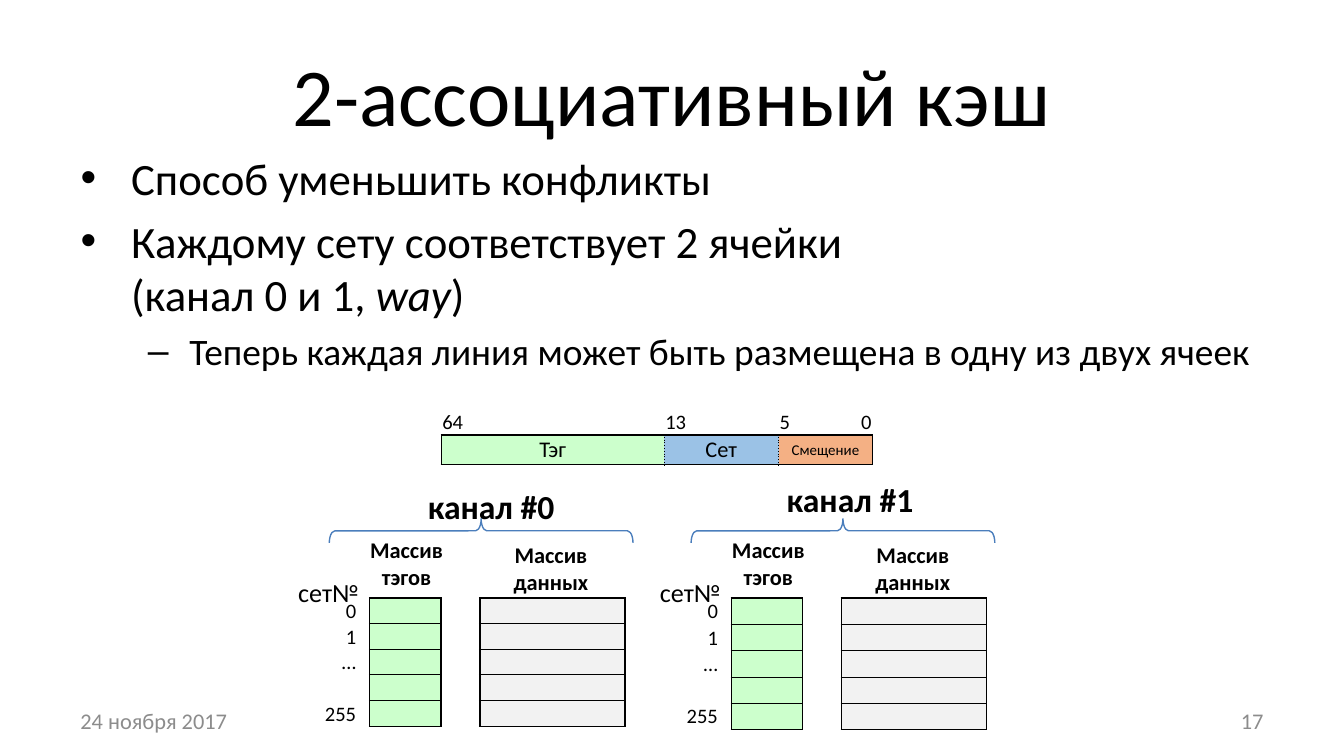
from dataclasses import dataclass
from typing import Optional

import pptx
import pptx.dml.color
import pptx.enum.shapes
import pptx.enum.text
import pptx.oxml
import pptx.oxml.ns
import pptx.util

ALIGN = pptx.enum.text.PP_ALIGN
ANCHOR = pptx.enum.text.MSO_ANCHOR
AUTO_SIZE = pptx.enum.text.MSO_AUTO_SIZE
FONT = "Calibri"
COLORS = {"text": "000000", "footer": "8C8C8C", "brace": "4B7EBC", "blank": "FFFFFF",
          "tag": "CCFFCC", "set": "9BC2E6", "offset": "F4B084", "data": "F2F2F2"}
SLIDE_WIDTH = pptx.util.Inches(10)
SLIDE_HEIGHT = SLIDE_WIDTH * 9 // 16
GRID_COLUMNS = 100  # square grid cells, a hundred across the slide
CHANNEL_PITCH = 26.92
THIN, THICK, DOTTED = (0.5, "solid"), (1, "solid"), (0.5, "sysDot")


@dataclass(frozen=True)
class Area:
    """Left, top, width and height in grid cells."""
    left: float
    top: float
    width: float
    height: float

    def shifted(self, columns: float) -> "Area":
        return Area(self.left + columns, self.top, self.width, self.height)


@dataclass(frozen=True)
class Label:
    text: str
    area: Area
    size: float
    bold: bool = False
    align: ALIGN = ALIGN.CENTER
    color: str = "text"
    anchor: ANCHOR = ANCHOR.TOP
    wrap: bool = True
    grow: bool = True


@dataclass(frozen=True)
class Field:
    text: str
    first: int
    last: int
    size: float
    color: str
    left: tuple
    right: tuple


def grid(cells: float) -> pptx.util.Emu:
    return pptx.util.Emu(round(SLIDE_WIDTH * cells / GRID_COLUMNS))


def place(shape, area: Area) -> None:
    shape.left, shape.top = grid(area.left), grid(area.top)
    shape.width, shape.height = grid(area.width), grid(area.height)


def rgb(name: str) -> pptx.dml.color.RGBColor:
    return pptx.dml.color.RGBColor.from_string(COLORS[name])


def write(paragraph, text: str, size: float, color: str = "text",
          bold: bool = False, italic: bool = False) -> None:
    """Add text as runs, with a line break at each newline."""
    for index, line in enumerate(text.split("\n")):
        if index:
            paragraph.add_line_break()
        run = paragraph.add_run()
        run.text = line
        run.font.name, run.font.size = FONT, pptx.util.Pt(size)
        run.font.bold, run.font.italic = bold, italic
        run.font.color.rgb = rgb(color)


def draw_label(slide, label: Label, shift: float = 0) -> None:
    box = slide.shapes.add_textbox(0, 0, 0, 0)
    frame = box.text_frame
    frame.word_wrap, frame.vertical_anchor = label.wrap, label.anchor
    frame.auto_size = AUTO_SIZE.SHAPE_TO_FIT_TEXT if label.grow else AUTO_SIZE.NONE
    place(box, label.area.shifted(shift))
    frame.paragraphs[0].alignment = label.align
    write(frame.paragraphs[0], label.text, label.size, label.color, label.bold)


def add_bullet(paragraph, sign: str, margin: float, hanging: float) -> None:
    properties = paragraph._p.get_or_add_pPr()
    properties.set("marL", str(grid(margin)))
    properties.set("indent", str(-grid(hanging)))
    bullet = pptx.oxml.parse_xml(f'<a:buChar {pptx.oxml.ns.nsdecls("a")} char="{sign}"/>')
    properties.append(bullet)


def add_table(slide, area: Area, columns: list[float], rows: list[float]):
    frame = slide.shapes.add_table(len(rows), len(columns), grid(area.left), grid(area.top),
                                   grid(area.width), grid(area.height))
    table = frame.table
    table.first_row = table.horz_banding = False
    for column, width in zip(table.columns, columns):
        column.width = grid(width)
    for row, height in zip(table.rows, rows):
        row.height = grid(height)
    return table


def fill_cell(cell, color: str, borders: dict[str, tuple], text: str = "", size: float = 11,
              align: Optional[ALIGN] = None, anchor: ANCHOR = ANCHOR.MIDDLE,
              right_margin: float = 0.1) -> None:
    """Format a cell; borders maps L, R, T, B to (points, dash), others stay empty."""
    cell.fill.solid()
    cell.fill.fore_color.rgb = rgb(color)
    cell.vertical_anchor = anchor
    cell.margin_left = cell.margin_top = grid(0.07)
    cell.margin_right, cell.margin_bottom = grid(right_margin), 0
    paragraph = cell.text_frame.paragraphs[0]
    paragraph.alignment = align
    if text:
        write(paragraph, text, size)
    else:
        paragraph._p.append(pptx.oxml.parse_xml(
            f'<a:endParaRPr {pptx.oxml.ns.nsdecls("a")} sz="{size * 100}"/>'))
    for index, side in enumerate("LRTB"):
        points, dash = borders.get(side, (0, "solid"))
        paint = (f'<a:solidFill><a:srgbClr val="{COLORS["text"]}"/></a:solidFill>'
                 f'<a:prstDash val="{dash}"/>' if points else "<a:noFill/>")
        cell._tc.get_or_add_tcPr().insert(index, pptx.oxml.parse_xml(
            f'<a:ln{side} {pptx.oxml.ns.nsdecls("a")} w="{pptx.util.Pt(points)}">'
            f'{paint}</a:ln{side}>'))


def draw_address(slide) -> None:
    """Address layout: bit numbers above the tag, set and offset fields."""
    table = add_table(slide, Area(32.84, 30.4, 32.1, 4.1), [16.6, 3.4, 5.1, 3.5, 3.5], [1.9, 2.2])
    for column, bit in enumerate(["64", "13", "", "5", "0"]):
        fill_cell(table.cell(0, column), "blank", {"B": THICK}, bit,
                  align=ALIGN.RIGHT if bit == "0" else ALIGN.LEFT)
    for field in (Field("Тэг", 0, 0, 12, "tag", THICK, DOTTED),
                  Field("Сет", 1, 2, 12, "set", DOTTED, DOTTED),
                  Field("Смещение", 3, 4, 8, "offset", DOTTED, THICK)):
        edges = {"R": field.right, "T": THICK, "B": THICK}
        start, end = table.cell(1, field.first), table.cell(1, field.last)
        fill_cell(start, field.color, {"L": field.left, **edges}, field.text, field.size,
                  ALIGN.CENTER)
        if field.last > field.first:
            fill_cell(end, field.color, edges)
            start.merge(end)


def draw_channel(slide, title: Label, shift: float) -> None:
    table = add_table(slide, Area(22.9 + shift, 44.5, 23.6, 9.45),
                      [4.6, 5.3, 2.9, 10.8], [1.89] * 5)
    for row, number in enumerate(["0", "1", "…", "", "255"]):
        fill_cell(table.cell(row, 0), "blank", {"R": THICK}, number, align=ALIGN.RIGHT,
                  anchor=ANCHOR.BOTTOM, right_margin=1)
        fill_cell(table.cell(row, 2), "blank", {"L": THICK, "R": THICK})
        edges = {"L": THICK, "R": THICK, "T": THIN if row else THICK, "B": THIN}
        for column, color in ((1, "tag"), (3, "data")):
            fill_cell(table.cell(row, column), color, edges)
    brace = slide.shapes.add_shape(pptx.enum.shapes.MSO_SHAPE.LEFT_BRACE, 0, 0, 0, 0)
    place(brace, Area(34.9, 28.2, 1.8, 22.6).shifted(shift))
    brace.rotation = 90
    brace.adjustments[0], brace.adjustments[1] = 0.23, 0.5
    brace.shadow.inherit = False
    brace.fill.background()
    brace.line.color.rgb, brace.line.width = rgb("brace"), pptx.util.Pt(0.75)
    draw_label(slide, title)
    for label in (Label("Массив\nтэгов", Area(25.2, 39.4, 10.1, 5), 12, True),
                  Label("Массив данных", Area(34.8, 39.8, 12.4, 5), 12, True),
                  Label("сет№", Area(21.2, 42.4, 6.6, 3.4), 14, align=ALIGN.LEFT, wrap=False)):
        draw_label(slide, label, shift)


def fill_placeholders(slide) -> None:
    heading, points = slide.shapes.title, slide.placeholders[1]
    place(heading, Area(5, 2.3, 90, 9.4))
    heading.text_frame.vertical_anchor = ANCHOR.MIDDLE
    heading.text_frame.paragraphs[0].alignment = ALIGN.CENTER
    write(heading.text_frame.paragraphs[0], "2-ассоциативный кэш", 44)

    place(points, Area(5, 10.7, 90, 19.6))
    frame = points.text_frame
    for holder in (heading.text_frame, frame):
        holder.auto_size = AUTO_SIZE.NONE
    bullets = [
        (0, 24, [("Способ уменьшить конфликты", False)]),
        (0, 24, [("Каждому сету соответствует 2 ячейки\n(канал 0 и 1, ", False),
                 ("way", True), (")", False)]),
        (1, 20, [("Теперь каждая линия может быть размещена в одну из двух ячеек", False)]),
    ]
    for index, (level, size, runs) in enumerate(bullets):
        paragraph = frame.add_paragraph() if index else frame.paragraphs[0]
        paragraph.level = level
        paragraph.space_before = pptx.util.Pt(0.2 * size if index else 0)
        add_bullet(paragraph, *(("–", 8.1, 3.1) if level else ("•", 3.75, 3.75)))
        for text, italic in runs:
            write(paragraph, text, size, italic=italic)


def main() -> None:
    deck = pptx.Presentation()
    deck.slide_width, deck.slide_height = SLIDE_WIDTH, SLIDE_HEIGHT
    slide = deck.slides.add_slide(deck.slide_layouts[1])
    fill_placeholders(slide)
    draw_address(slide)
    draw_channel(slide, Label("канал #1", Area(57.2, 35.15, 12.1, 4), 18, True), CHANNEL_PITCH)
    draw_channel(slide, Label("канал #0", Area(30.3, 35.65, 12.5, 4), 18, True), 0)
    for text, left, align in (("24 ноября 2017", 5, ALIGN.LEFT), ("17", 71.7, ALIGN.RIGHT)):
        draw_label(slide, Label(text, Area(left, 52.15, 23.3, 3), 12, align=align,
                                color="footer", anchor=ANCHOR.MIDDLE, grow=False))
    deck.save("out.pptx")


if __name__ == "__main__":
    main()
